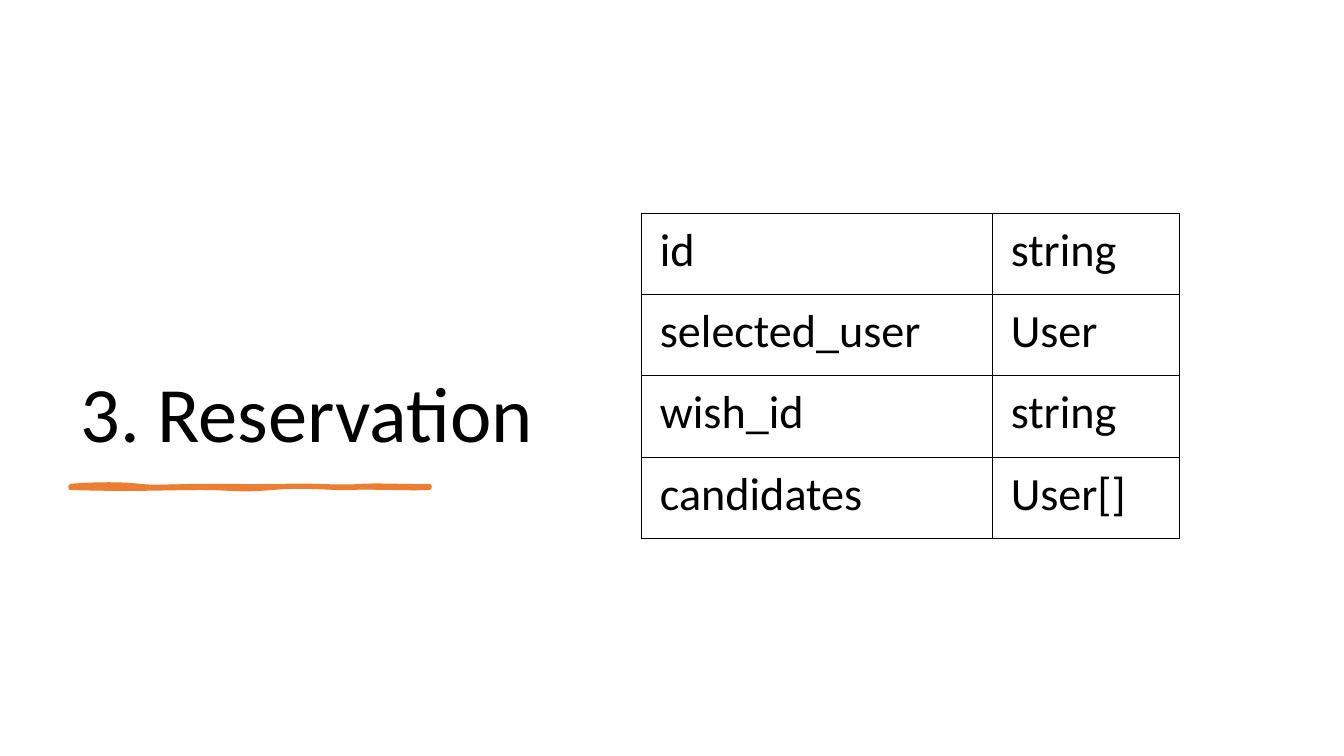
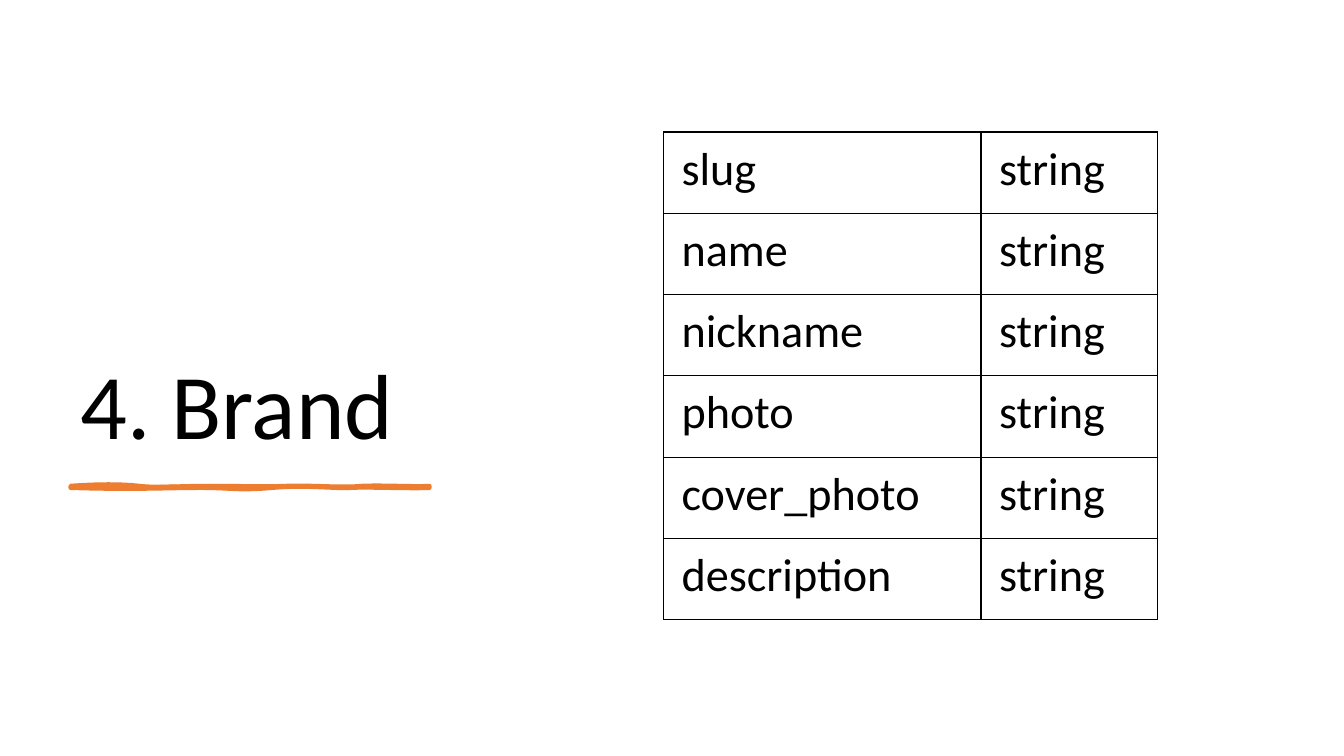
from lxml import etree
from pptx import Presentation
from pptx.dml.color import RGBColor
from pptx.enum.text import MSO_ANCHOR
from pptx.oxml.ns import qn
from pptx.util import Inches, Pt

SLIDE_WIDTH, SLIDE_HEIGHT = 13.33, 7.5
BLANK_LAYOUT = 6
BOTTOM = MSO_ANCHOR.BOTTOM
BLACK = RGBColor(0x00, 0x00, 0x00)
WHITE = RGBColor(0xFF, 0xFF, 0xFF)
ORANGE = RGBColor(0xED, 0x7D, 0x31)
FONT = "Calibri"

MARGIN = 0.7
TITLE_HEIGHT = 3.91
FIELDS_CENTRE_X, FIELDS_CENTRE_Y = 9.03, 3.73
ROW_HEIGHT = 4.84 / 6
FIELD_SIZE = 33
CELL_INSET_X, CELL_INSET_Y = 0.18, 0.09
BORDER_SIDES = ("a:lnL", "a:lnR", "a:lnT", "a:lnB")

STROKE_LEFT, STROKE_TOP = MARGIN, 4.82
STROKE_RIGHT, STROKE_BOTTOM = 4.26, 4.84
STROKE_OUTLINE = (
    ((0.97, 4.8), (1.21, 4.8), (1.38, 4.82)),
    ((1.55, 4.84), (1.77, 4.82), (2.09, 4.82)),
    ((2.41, 4.82), (2.6, 4.83), (2.84, 4.82)),
    ((3.08, 4.81), (3.39, 4.84), (3.59, 4.82)),
    ((3.79, 4.81), (4.12, 4.83), (4.26, 4.82)),
    ((4.26, 4.83), (4.26, 4.84), (4.26, 4.84)),
    ((4.08, 4.85), (3.64, 4.83), (3.48, 4.84)),
    ((3.32, 4.85), (3.04, 4.81), (2.7, 4.84)),
    ((2.35, 4.87), (2.31, 4.84), (1.99, 4.84)),
    ((1.66, 4.84), (1.32, 4.86), (0.7, 4.84)),
    ((0.7, 4.84), (0.7, 4.83), (0.7, 4.82)),
)
STROKE_BODY = (
    ((1.02, 4.84), (1.1, 4.83), (1.38, 4.82)),
    ((1.66, 4.81), (1.69, 4.8), (1.99, 4.82)),
    ((2.28, 4.84), (2.61, 4.83), (2.77, 4.82)),
    ((2.93, 4.81), (3.27, 4.85), (3.44, 4.82)),
    ((3.62, 4.8), (3.97, 4.86), (4.26, 4.82)),
    ((4.26, 4.83), (4.26, 4.83), (4.26, 4.84)),
    ((4.12, 4.84), (3.72, 4.87), (3.55, 4.84)),
    ((3.38, 4.82), (3.09, 4.84), (2.77, 4.84)),
    ((2.44, 4.84), (2.4, 4.83), (2.16, 4.84)),
    ((1.93, 4.85), (1.79, 4.83), (1.45, 4.84)),
    ((1.11, 4.85), (0.92, 4.84), (0.7, 4.84)),
    ((0.7, 4.83), (0.7, 4.83), (0.7, 4.82)),
)

RESERVATION_FIELDS = (
    ("id", "string"),
    ("selected_user", "User"),
    ("wish_id", "string"),
    ("candidates", "User[]"),
)
BRAND_FIELDS = tuple(
    (field, "string")
    for field in ("slug", "name", "nickname", "photo", "cover_photo", "description")
)


def add_run(paragraph, text, size):
    run = paragraph.add_run()
    run.text = text
    run.font.name = FONT
    run.font.size = Pt(size)
    run.font.color.rgb = BLACK


def add_title(slide, text, size, width):
    title = slide.shapes.add_textbox(
        Inches(MARGIN), Inches(MARGIN), Inches(width), Inches(TITLE_HEIGHT))
    frame = title.text_frame
    frame.word_wrap = True
    frame.vertical_anchor = BOTTOM
    heading = frame.paragraphs[0]
    heading.line_spacing = 0.9
    add_run(heading, text, size)


def add_command(path_xml, command, points):
    command_xml = etree.SubElement(path_xml, qn(command))
    for x, y in points:
        etree.SubElement(
            command_xml, qn("a:pt"),
            x=str(Inches(x) - Inches(STROKE_LEFT)),
            y=str(Inches(y) - Inches(STROKE_TOP)))


def add_curves(path_list, curves, **paint):
    path_xml = etree.SubElement(
        path_list, qn("a:path"),
        w=str(Inches(STROKE_RIGHT) - Inches(STROKE_LEFT)),
        h=str(Inches(STROKE_BOTTOM) - Inches(STROKE_TOP)), **paint)
    add_command(path_xml, "a:moveTo", [(STROKE_LEFT, STROKE_TOP)])
    for curve in curves:
        add_command(path_xml, "a:cubicBezTo", curve)
    etree.SubElement(path_xml, qn("a:close"))


def add_brush_underline(slide):
    left, top, right, bottom = map(
        Inches, (STROKE_LEFT, STROKE_TOP, STROKE_RIGHT, STROKE_BOTTOM))
    builder = slide.shapes.build_freeform(left, top)
    builder.add_line_segments([(right, top), (right, bottom), (left, bottom)])
    underline = builder.convert_to_shape()
    underline.shadow.inherit = False
    underline.fill.solid()
    underline.fill.fore_color.rgb = ORANGE
    underline.line.color.rgb = ORANGE
    underline.line.width = Pt(3)
    etree.SubElement(underline.element.spPr.get_or_add_ln(), qn("a:round"))

    path_list = underline.element.spPr.find(".//" + qn("a:pathLst"))
    for straight_path in list(path_list):
        path_list.remove(straight_path)
    add_curves(path_list, STROKE_OUTLINE, fill="none")
    add_curves(path_list, STROKE_BODY, stroke="0")


def add_borders(cell):
    properties = cell._tc.get_or_add_tcPr()
    for position, side in enumerate(BORDER_SIDES):
        border = etree.Element(qn(side), w=str(Pt(1)))
        fill = etree.SubElement(border, qn("a:solidFill"))
        etree.SubElement(fill, qn("a:srgbClr"), val=str(BLACK))
        properties.insert(position, border)


def add_fields(slide, fields, column_widths):
    width, height = sum(column_widths), ROW_HEIGHT * len(fields)
    table = slide.shapes.add_table(
        len(fields), len(column_widths),
        Inches(FIELDS_CENTRE_X - width / 2), Inches(FIELDS_CENTRE_Y - height / 2),
        Inches(width), Inches(height)).table
    table.first_row = False
    table.horz_banding = False
    for column, column_width in zip(table.columns, column_widths):
        column.width = Inches(column_width)
    for row, values in zip(table.rows, fields):
        row.height = Inches(ROW_HEIGHT)
        for cell, value in zip(row.cells, values):
            cell.margin_left = cell.margin_right = Inches(CELL_INSET_X)
            cell.margin_top = cell.margin_bottom = Inches(CELL_INSET_Y)
            cell.fill.background()
            add_borders(cell)
            add_run(cell.text_frame.paragraphs[0], value, FIELD_SIZE)


def add_model_slide(deck, title, title_size, title_width, fields, column_widths):
    slide = deck.slides.add_slide(deck.slide_layouts[BLANK_LAYOUT])
    slide.background.fill.solid()
    slide.background.fill.fore_color.rgb = WHITE
    add_title(slide, title, title_size, title_width)
    add_brush_underline(slide)
    add_fields(slide, fields, column_widths)


def main():
    deck = Presentation()
    deck.slide_width = Inches(SLIDE_WIDTH)
    deck.slide_height = Inches(SLIDE_HEIGHT)
    add_model_slide(deck, "3. Reservation", 56, 4.82, RESERVATION_FIELDS, (3.48, 1.85))
    add_model_slide(deck, "4. Brand", 66, 3.91, BRAND_FIELDS, (3.15, 1.75))
    deck.save("out.pptx")


if __name__ == "__main__":
    main()
